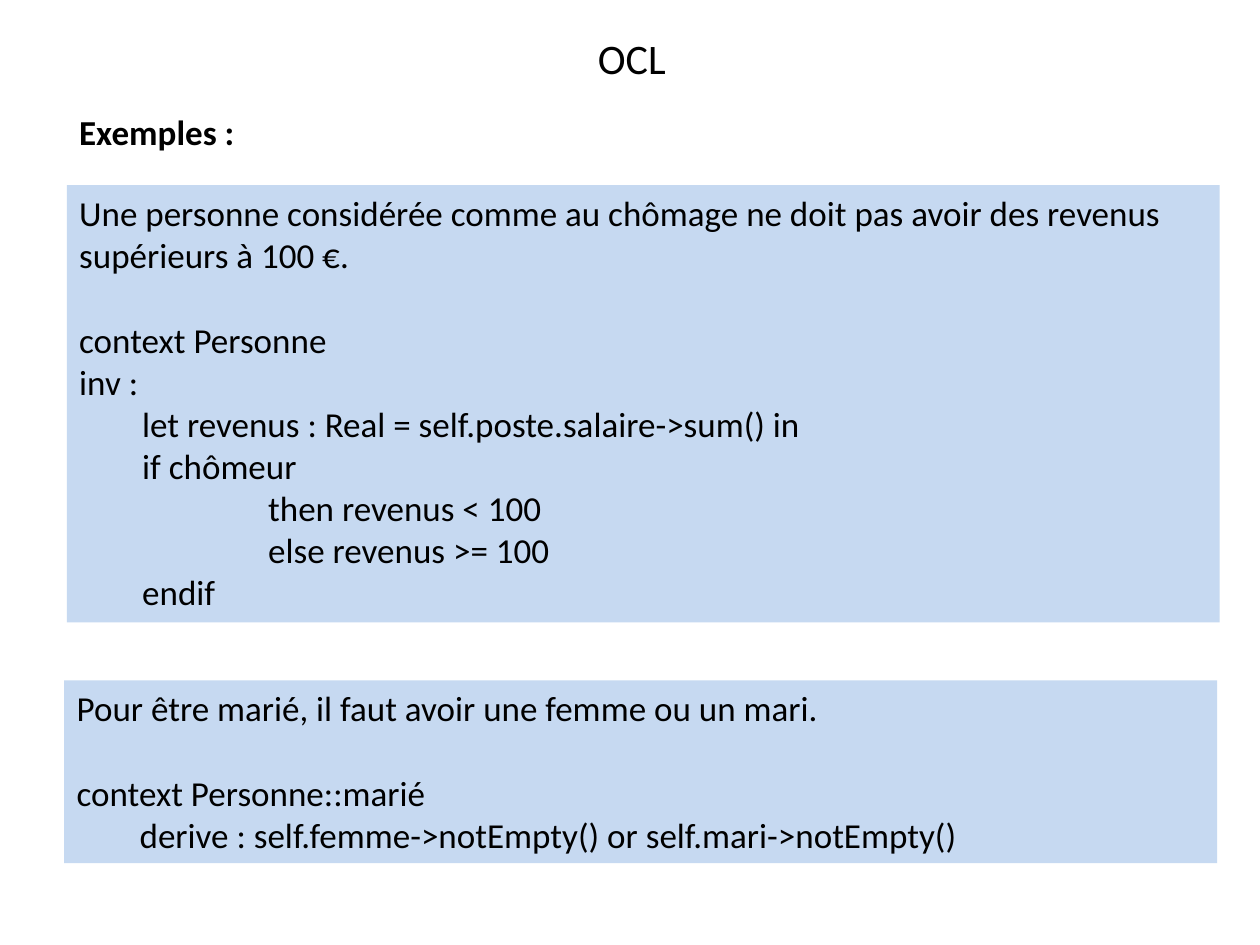
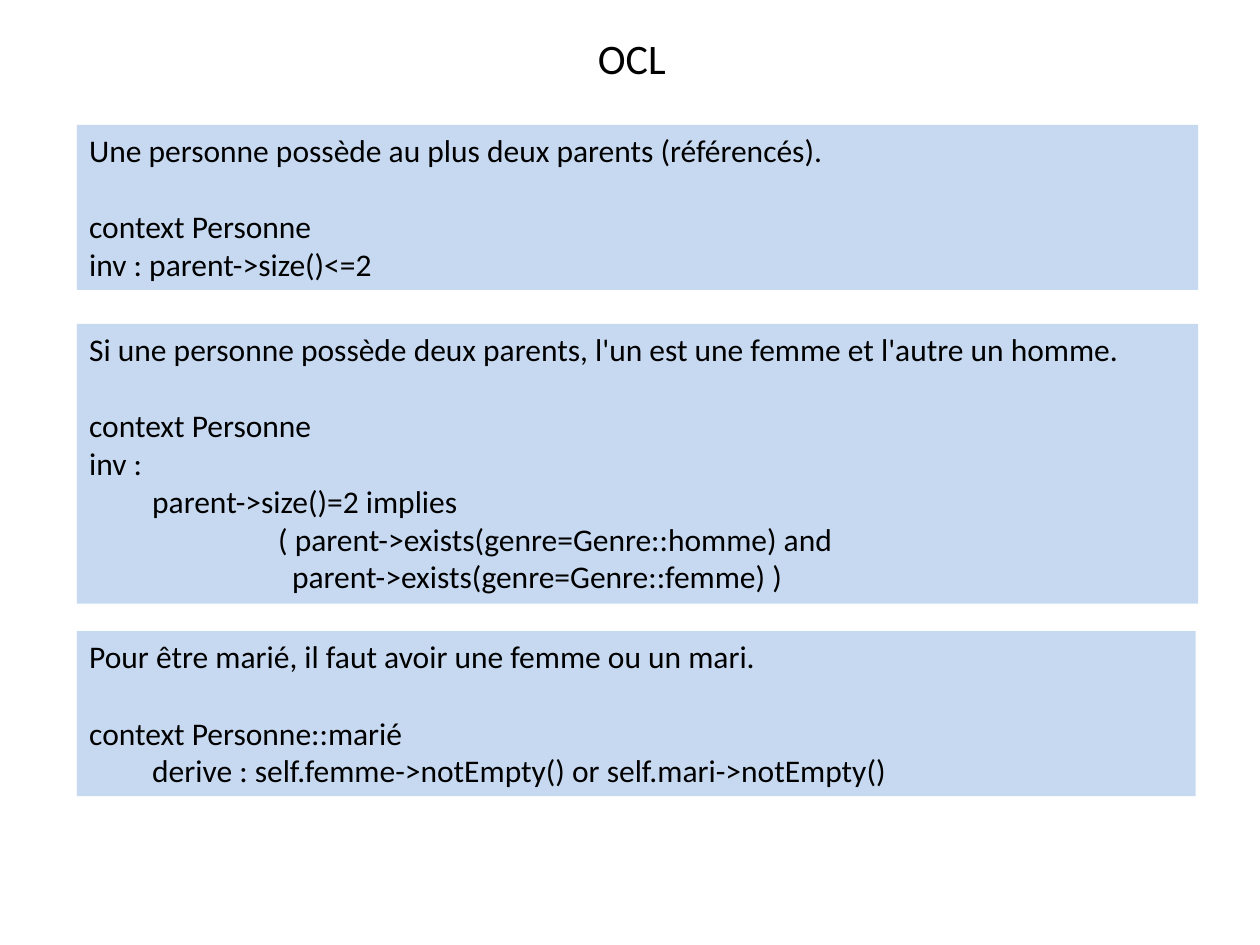
from dataclasses import dataclass
from typing import NamedTuple

from pptx import Presentation
from pptx.dml.color import RGBColor
from pptx.enum.shapes import MSO_SHAPE
from pptx.enum.text import MSO_ANCHOR, PP_ALIGN
from pptx.util import Inches, Pt

TITLE_ONLY = 5
COLUMNS, ROWS = 100, 75
SLIDE_WIDTH, SLIDE_HEIGHT = Inches(10), Inches(7.5)


@dataclass(frozen=True)
class Theme:
    font: str = "Calibri"
    ink: RGBColor = RGBColor(0x00, 0x00, 0x00)
    panel: RGBColor = RGBColor(0xC6, 0xD9, 0xF1)
    title_size: int = 24
    large: int = 20
    medium: int = 18
    line_height: float = 1.22


class Box(NamedTuple):
    """A region in grid columns and rows."""
    left: float
    top: float
    width: float
    height: float

    def place(self):
        column, row = SLIDE_WIDTH / COLUMNS, SLIDE_HEIGHT / ROWS
        return [int(n * unit) for n, unit in zip(self, (column, row, column, row))]


THEME = Theme()
TITLE_BOX = Box(5.3, 2.1, 89.7, 5)

# Each code line is (indent in inches, text).
MARRIED_RULE = "Pour être marié, il faut avoir une femme ou un mari."
MARRIED_CODE = [
    (0, "context Personne::marié"),
    (0.5, "derive : self.femme->notEmpty() or self.mari->notEmpty()"),
]
INCOME_RULE = ("Une personne considérée comme au chômage ne doit pas avoir "
               "des revenus supérieurs à 100 €.")
INCOME_CODE = [
    (0, "context Personne"),
    (0, "inv :"),
    (0.5, "let revenus : Real = self.poste.salaire->sum() in"),
    (0.5, "if chômeur"),
    (1.5, "then revenus < 100"),
    (1.5, "else revenus >= 100"),
    (0.5, "endif"),
]
PARENTS_RULE = "Une personne possède au plus deux parents (référencés)."
PARENTS_CODE = [
    (0, "context Personne"),
    (0, "inv : parent->size()<=2"),
]
GENDER_RULE = ("Si une personne possède deux parents, l'un est une femme "
               "et l'autre un homme.")
GENDER_CODE = [
    (0, "context Personne"),
    (0, "inv :"),
    (0.5, "parent->size()=2 implies"),
    (1.5, "( parent->exists(genre=Genre::homme) and"),
    (1.61, "parent->exists(genre=Genre::femme) )"),
]


def style(paragraph, size, bold=False, align=PP_ALIGN.LEFT):
    paragraph.alignment = align
    for run in paragraph.runs:
        run.font.name = THEME.font
        run.font.size = Pt(size)
        run.font.bold = bold
        run.font.color.rgb = THEME.ink


def add_titled_slide(deck):
    slide = deck.slides.add_slide(deck.slide_layouts[TITLE_ONLY])
    title = slide.shapes.title
    title.left, title.top, title.width, title.height = TITLE_BOX.place()
    title.text_frame.text = "OCL"
    title.text_frame.vertical_anchor = MSO_ANCHOR.TOP
    style(title.text_frame.paragraphs[0], THEME.title_size, align=PP_ALIGN.CENTER)
    return slide


def add_heading(slide, box, wording):
    frame = slide.shapes.add_textbox(*box.place()).text_frame
    frame.word_wrap = True
    frame.text = wording
    style(frame.paragraphs[0], THEME.large, bold=True)


def add_constraint(slide, box, size, rule, code):
    """Panel with a rule in words, one line of space, then its OCL code."""
    panel = slide.shapes.add_shape(MSO_SHAPE.RECTANGLE, *box.place())
    panel.shadow.inherit = False
    panel.fill.solid()
    panel.fill.fore_color.rgb = THEME.panel
    panel.line.fill.background()

    frame = panel.text_frame
    frame.word_wrap = True
    frame.vertical_anchor = MSO_ANCHOR.TOP
    frame.text = "\n".join([rule] + [line for _, line in code])
    statement, *code_lines = frame.paragraphs
    style(statement, size)
    statement.space_after = Pt(size * THEME.line_height)
    for paragraph, (indent, _) in zip(code_lines, code):
        style(paragraph, size)
        if indent:
            paragraph.level = 1
            properties = paragraph._p.get_or_add_pPr()
            properties.set("marL", str(Inches(indent)))
            properties.set("indent", "0")


def build_income_slide(deck):
    slide = add_titled_slide(deck)
    add_heading(slide, Box(5.3, 8.3, 91.5, 4.4), "Exemples :")
    add_constraint(slide, Box(5.3, 14.7, 91.5, 34.7), THEME.large,
                   INCOME_RULE, INCOME_CODE)
    add_constraint(slide, Box(5.1, 54, 91.5, 14.5), THEME.large,
                   MARRIED_RULE, MARRIED_CODE)


def build_family_slide(deck):
    slide = add_titled_slide(deck)
    for top, width, height, rule, code in [
        (9.9, 89, 13.1, PARENTS_RULE, PARENTS_CODE),
        (25.7, 89, 22.2, GENDER_RULE, GENDER_CODE),
        (50.1, 88.8, 13.1, MARRIED_RULE, MARRIED_CODE),
    ]:
        add_constraint(slide, Box(6.1, top, width, height), THEME.medium, rule, code)


def main():
    deck = Presentation()
    deck.slide_width, deck.slide_height = SLIDE_WIDTH, SLIDE_HEIGHT
    build_income_slide(deck)
    build_family_slide(deck)
    deck.save("out.pptx")


if __name__ == "__main__":
    main()
